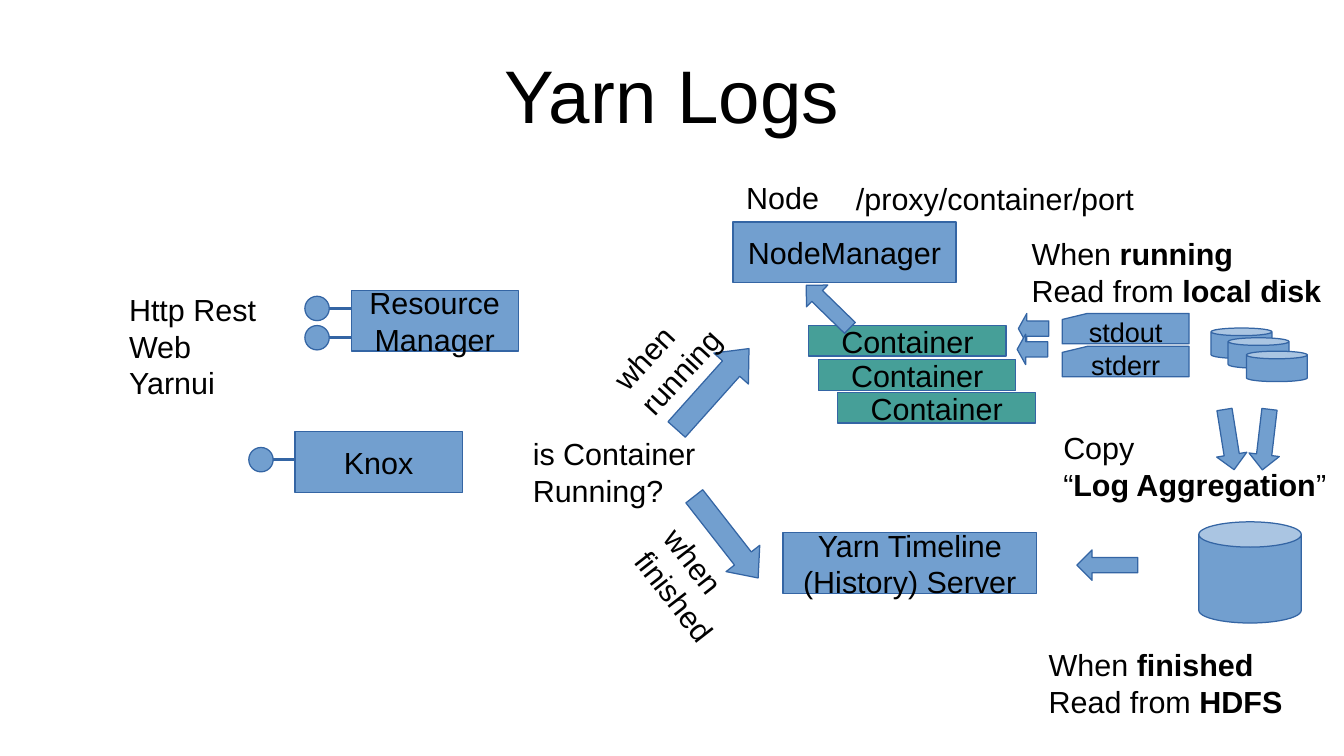
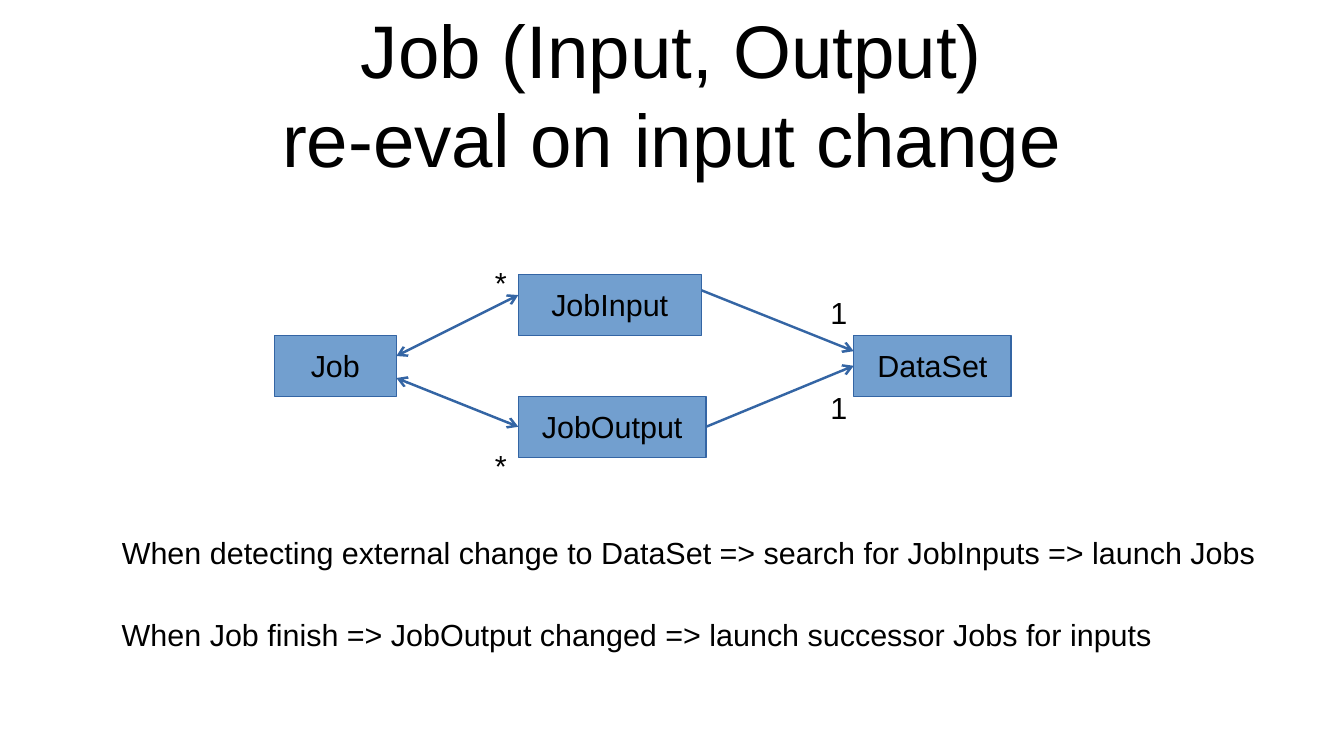
import pptx
import pptx.util
import pptx.dml.color
import pptx.enum.shapes
import pptx.enum.text
import pptx.oxml
import pptx.oxml.ns

Inches, Pt = pptx.util.Inches, pptx.util.Pt
Shape = pptx.enum.shapes.MSO_SHAPE
Align = pptx.enum.text.PP_ALIGN
Anchor = pptx.enum.text.MSO_ANCHOR

COLORS = {"text": "000000", "box": "729FCF", "container": "469F98", "line": "3465A4"}
FONT = "Arial"
TITLE_ONLY = 5
BOX_HEIGHT = 0.5
SMALL_HEIGHT = 0.25
PIN = 0.2


def rgb(name):
    return pptx.dml.color.RGBColor.from_string(COLORS[name])


class Deck:
    def __init__(self):
        self.prs = pptx.Presentation()
        self.prs.slide_width = Inches(11.02)
        self.prs.slide_height = Inches(6.2)
        self.slide = None

    def new_slide(self, title, top, height):
        self.slide = self.prs.slides.add_slide(self.prs.slide_layouts[TITLE_ONLY])
        heading = self.slide.shapes.title
        heading.left, heading.top = Inches(0.55), Inches(top)
        heading.width, heading.height = Inches(9.92), Inches(height)
        frame = heading.text_frame
        frame.margin_left = frame.margin_right = 0
        frame.margin_top = frame.margin_bottom = 0
        self.fill_text(frame, title, 44, Align.CENTER, Anchor.MIDDLE)

    def fill_text(self, frame, text, size, align, anchor):
        """Fill a frame, one paragraph a line; words between ** are bold."""
        frame.word_wrap = True
        frame.auto_size = pptx.enum.text.MSO_AUTO_SIZE.NONE
        frame.vertical_anchor = anchor
        for index, line in enumerate(text.split("\n")):
            paragraph = frame.add_paragraph() if index else frame.paragraphs[0]
            paragraph.alignment = align
            paragraph.font.name = FONT
            paragraph.font.size = Pt(size)
            paragraph.font.color.rgb = rgb("text")
            if "**" not in line:
                paragraph.text = line
                continue
            for part, words in enumerate(line.split("**")):
                if words:
                    run = paragraph.add_run()
                    run.text = words
                    run.font.bold = part % 2 == 1

    def shape(self, kind, left, top, width, height, fill="box", text="", size=18):
        shape = self.slide.shapes.add_shape(
            kind, Inches(left), Inches(top), Inches(width), Inches(height))
        shape.shadow.inherit = False
        shape.fill.solid()
        shape.fill.fore_color.rgb = rgb(fill)
        shape.line.color.rgb = rgb("line")
        shape.line.width = Pt(0)
        if text:
            self.fill_text(shape.text_frame, text, size, Align.CENTER, Anchor.MIDDLE)
        return shape

    def box(self, text, left, top, width, height=BOX_HEIGHT, fill="box"):
        return self.shape(Shape.RECTANGLE, left, top, width, height, fill, text)

    def label(self, text, left, top, width, height=0.39, rotation=0):
        label = self.slide.shapes.add_textbox(
            Inches(left), Inches(top), Inches(width), Inches(height))
        label.rotation = rotation
        self.fill_text(label.text_frame, text, 18, Align.LEFT, Anchor.TOP)

    def arrow(self, left, top, width=0.5, height=0.25, rotation=0, head=0.5):
        arrow = self.shape(Shape.LEFT_ARROW, left, top, width, height)
        arrow.adjustments[1] = head
        arrow.rotation = rotation

    def line(self, start, end, width=0, arrows=()):
        """Straight line; arrows lists the ends, headEnd or tailEnd, with an arrowhead."""
        line = self.slide.shapes.add_connector(
            pptx.enum.shapes.MSO_CONNECTOR.STRAIGHT, *map(Inches, start + end))
        line.line.color.rgb = rgb("line")
        line.line.width = Pt(width)
        properties = line._element.spPr
        outline = properties.find(pptx.oxml.ns.qn("a:ln"))
        for tag in arrows:
            head = pptx.oxml.parse_xml(
                f'<a:{tag} {pptx.oxml.ns.nsdecls("a")} type="arrow"/>')
            outline.append(head)
        properties.append(
            pptx.oxml.parse_xml(f'<a:effectLst {pptx.oxml.ns.nsdecls("a")}/>'))
        return line

    def endpoint(self, left, top):
        """Round service endpoint with its short line to the box on the right."""
        self.shape(Shape.OVAL, left, top, PIN, PIN)
        middle = top + PIN / 2
        self.line((left + PIN, middle), (left + 0.39, middle))


def yarn_logs(deck):
    deck.new_slide("Yarn Logs", 0.25, 1.04)

    deck.box("Resource\vManager", 2.88, 2.38, 1.37)
    deck.box("Knox", 2.42, 3.54, 1.37)
    for left, top in ((2.5, 2.43), (2.5, 2.67), (2.04, 3.67)):
        deck.endpoint(left, top)
    deck.label("Http Rest\nWeb\vYarnui", 0.96, 2.34, 1.47, 0.96)

    deck.label("is Container\nRunning?", 4.27, 3.52, 2.32, 0.68)
    deck.arrow(5.4, 3, 0.89, 0.38, rotation=131.8, head=0.58)
    deck.arrow(5.53, 4.23, 0.85, 0.35, rotation=232, head=0.58)
    deck.label("when running", 4.93, 2.57, 1.11, 0.68, rotation=312.6)
    deck.label("when finished", 5.12, 4.47, 1.11, 0.68, rotation=52.1)

    deck.label("Node", 6.02, 1.42, 0.92)
    deck.label("/proxy/container/port", 6.92, 1.43, 2.61)
    deck.box("NodeManager", 6.01, 1.82, 1.83)
    for left, top in ((6.63, 2.67), (6.71, 2.95), (6.87, 3.22)):
        deck.box("Container", left, top, 1.62, SMALL_HEIGHT, "container")
    deck.arrow(6.54, 2.39, rotation=44.3)

    for stream, top in (("stdout", 2.57), ("stderr", 2.84)):
        deck.shape(Shape.FLOWCHART_CARD, 8.71, top, 1.04, SMALL_HEIGHT,
                   text=stream, size=16)
    for left, top in ((8.35, 2.57), (8.34, 2.74)):
        deck.arrow(left, top, 0.25, head=0.28)
    for left, top in ((9.93, 2.69), (10.07, 2.77), (10.22, 2.88)):
        deck.shape(Shape.CAN, left, top, 0.5, SMALL_HEIGHT)
    deck.label("When **running**\nRead from **local disk**", 8.36, 1.88, 2.62, 0.68)

    for left, rotation in ((9.83, 260.9), (10.13, 276.7)):
        deck.arrow(left, 3.48, rotation=rotation)
    deck.label("Copy\n“**Log Aggregation**”", 8.62, 3.47, 2.4, 0.68)

    deck.box("Yarn Timeline (History) Server", 6.42, 4.37, 2.08)
    deck.arrow(8.83, 4.51)
    deck.shape(Shape.CAN, 9.83, 4.28, 0.84, 0.83)
    deck.label("When **finished**\nRead from **HDFS**", 8.5, 5.25, 2.49, 0.68)


def job_model(deck):
    deck.new_slide("Job (Input, Output)\vre-eval on input change", 0.08, 1.37)

    deck.box("Job", 2.25, 2.75, 1)
    deck.box("JobInput", 4.25, 2.25, 1.5)
    job_output = deck.box("JobOutput", 4.25, 3.25, 1.54)
    data_set = deck.box("DataSet", 7, 2.75, 1.29)

    both, end_only = ("headEnd", "tailEnd"), ("tailEnd",)
    deck.line((3.25, 2.92), (4.25, 2.42), 1.45, both)
    job_to_output = deck.line((3.25, 3.1), (4.25, 3.5), 1.45, both)
    job_to_output.end_connect(job_output, 1)
    deck.line((5.75, 2.38), (7, 2.88), 1.45, end_only)
    output_to_data = deck.line((5.79, 3.5), (7, 3), 1.45, end_only)
    output_to_data.begin_connect(job_output, 3)
    output_to_data.end_connect(data_set, 1)

    for count, left, top, width in (("*", 3.96, 2.12, 0.32), ("*", 3.96, 3.62, 0.32),
                                    ("1", 6.71, 2.36, 0.36), ("1", 6.71, 3.14, 0.36)):
        deck.label(count, left, top, width)

    deck.label("When detecting external change to DataSet => search for JobInputs"
               " => launch Jobs", 0.9, 4.33, 9.68)
    deck.label("When Job finish => JobOutput changed => launch successor Jobs for inputs",
               0.9, 5, 9.14)


def main():
    deck = Deck()
    yarn_logs(deck)
    job_model(deck)
    deck.prs.save("out.pptx")


if __name__ == "__main__":
    main()
